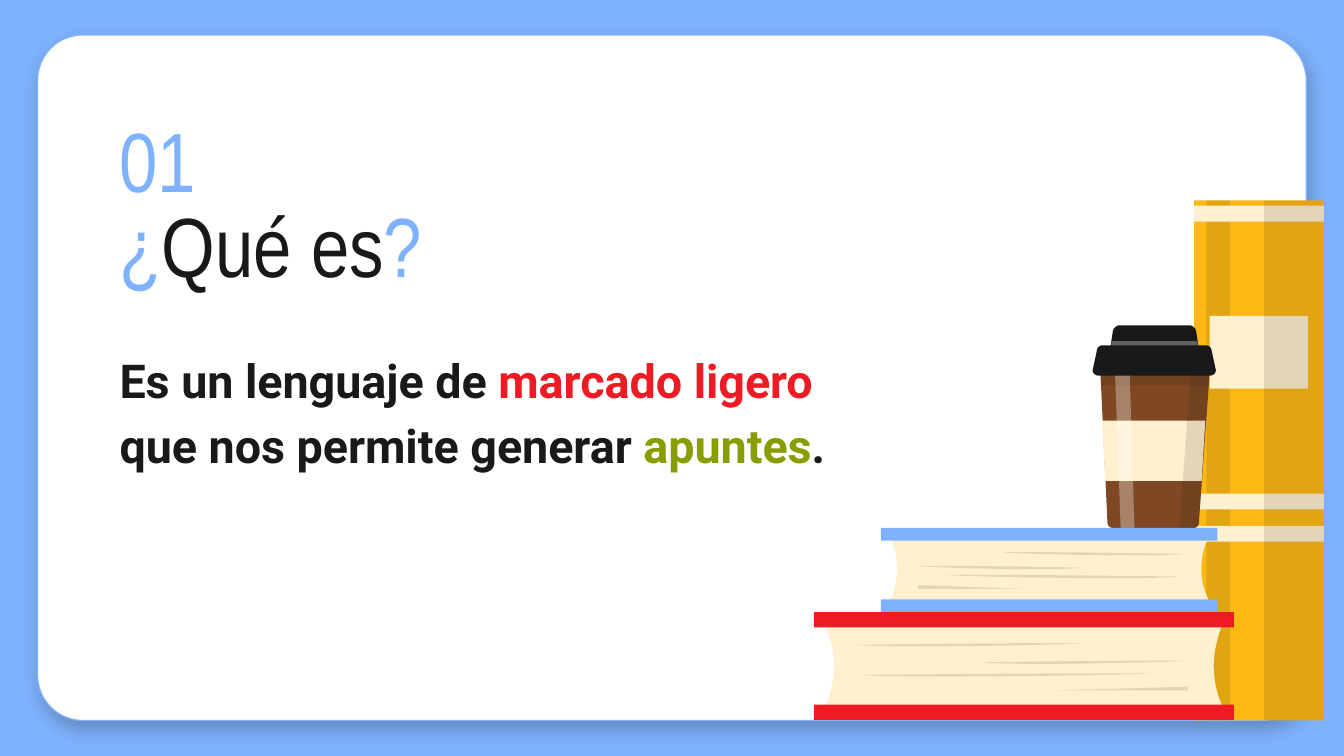
import pptx
import pptx.util
import pptx.dml.color
import pptx.enum.shapes
import pptx.enum.text
import pptx.oxml
import pptx.oxml.ns
from pptx.util import Cm

BLUE, INK, WHITE = "7EB2FE", "191919", "FFFFFF"
CREAM, YELLOW, BROWN = "FFF0CF", "FDB813", "7F4822"
RED, GREEN = "ED1B24", "899C00"
SHADE, SHINE = 12, 32  # opacity in percent


def rgb(value):
    return pptx.dml.color.RGBColor.from_string(value)


def paint(shape, color, alpha=None):
    shape.shadow.inherit = False
    shape.fill.solid()
    shape.fill.fore_color.rgb = rgb(color)
    shape.line.fill.background()
    if alpha is not None:
        clr = shape.fill._xPr.find(".//" + pptx.oxml.ns.qn("a:srgbClr"))
        clr.append(pptx.oxml.parse_xml(
            f'<a:alpha {pptx.oxml.ns.nsdecls("a")} val="{alpha * 1000}"/>'))


def rect(shapes, x, y, w, h, color, alpha=None):
    sp = shapes.add_shape(pptx.enum.shapes.MSO_SHAPE.RECTANGLE,
                          Cm(x), Cm(y), Cm(w), Cm(h))
    paint(sp, color, alpha)


def outline(shapes, x, y, nodes, color, alpha=None):
    """Closed outline; a node is a point or a cubic curve of three points."""
    pts = []
    for node in nodes:
        if len(node) == 2:
            pts.append(node)
            continue
        x0, y0 = pts[-1]
        x1, y1, x2, y2, x3, y3 = node
        for i in range(1, 13):
            t = i / 12
            a, b, c, d = (1 - t)**3, 3 * t * (1 - t)**2, 3 * t * t * (1 - t), t**3
            pts.append((a * x0 + b * x1 + c * x2 + d * x3,
                        a * y0 + b * y1 + c * y2 + d * y3))
    pts = [(Cm(x + px), Cm(y + py)) for px, py in pts]
    fb = shapes.build_freeform(*pts[0], scale=1.0)
    fb.add_line_segments(pts[1:], close=True)
    paint(fb.convert_to_shape(), color, alpha)


def write(sp, box, runs, size, font, anchor, bold=False):
    sp.left, sp.top, sp.width, sp.height = [Cm(v) for v in box]
    tf = sp.text_frame
    tf.word_wrap = True
    tf.auto_size = pptx.enum.text.MSO_AUTO_SIZE.NONE
    tf.vertical_anchor = anchor
    tf.margin_left = tf.margin_right = tf.margin_top = tf.margin_bottom = Cm(0.25)
    p = tf.paragraphs[0]
    p.alignment = pptx.enum.text.PP_ALIGN.LEFT
    p.line_spacing = 1.15
    for text, color in runs:
        r = p.add_run()
        r.text = text
        r.font.size, r.font.name, r.font.bold = pptx.util.Pt(size), font, bold
        r.font.color.rgb = rgb(color)


def add_panel(s, x, y, w, h):
    sp = s.shapes.add_shape(pptx.enum.shapes.MSO_SHAPE.ROUNDED_RECTANGLE,
                            Cm(x), Cm(y), Cm(w), Cm(h))
    sp.adjustments[0] = 0.066
    paint(sp, WHITE)
    sp.line.color.rgb = rgb(BLUE)
    sp.line.width = pptx.util.Pt(0.75)
    effects = sp._element.spPr.find(pptx.oxml.ns.qn("a:effectLst"))
    effects.append(pptx.oxml.parse_xml(
        f'<a:outerShdw {pptx.oxml.ns.nsdecls("a")} blurRad="128270" dist="57150" '
        f'dir="4020000" algn="bl" rotWithShape="0"><a:srgbClr val="{INK}">'
        '<a:alpha val="27000"/></a:srgbClr></a:outerShdw>'))
    # The panel lies behind the title
    s.shapes.title._element.addprevious(sp._element)


def add_texts(s, x, y, w):
    anchor = pptx.enum.text.MSO_ANCHOR
    write(s.shapes.title, (x, y + 1.75, w, 2.54),
          [("¿", BLUE), ("Qué es", INK), ("?", BLUE)], 45, "Arial Narrow", anchor.BOTTOM)
    write(s.shapes.add_textbox(0, 0, 0, 0), (x, y + 4.73, 14.48, 3.3),
          [("Es un lenguaje de ", INK), ("marcado ligero", RED),
           (" que nos permite generar ", INK), ("apuntes", GREEN), (".", INK)],
          25, "Roboto", anchor.TOP, bold=True)
    write(s.shapes.add_textbox(0, 0, 0, 0), (x, y, 2.11, 2.69),
          [("01", BLUE)], 45, "Arial Narrow", anchor.MIDDLE)


def add_upright_book(s, x, y, w, h):
    g = s.shapes.add_group_shape().shapes
    rect(g, x, y, w, h, YELLOW)
    rect(g, x + 0.23, y, 0.45, h, INK, SHADE)
    for dy in (0.1, 5.54, 6.15):  # spine bands
        rect(g, x, y + dy, w, 0.3, CREAM)
    rect(g, x + 0.29, y + 2.18, 1.86, 1.38, CREAM)
    rect(g, x + 1.32, y, w - 1.32, h, INK, SHADE)


def add_cup(s, x, y, w, h):
    g = s.shapes.add_group_shape().shapes
    top = 0.51
    right = [(1.91, h), (1.96, h, 2.01, h - 0.04, 2.01, h - 0.11), (2.24, top)]

    def lid(x1, y1, x2, y2, slant, r):
        outline(g, x, y, [
            (x1 + slant + r, y1),
            (x1 + slant + r / 2, y1, x1 + slant, y1 + r / 2, x1 + slant, y1 + r),
            (x1, y2 - r), (x1, y2 - r / 2, x1 + r / 2, y2, x1 + r, y2),
            (x2 - r, y2), (x2 - r / 2, y2, x2, y2 - r / 2, x2, y2 - r),
            (x2 - slant, y1 + r),
            (x2 - slant, y1 + r / 2, x2 - slant - r / 2, y1, x2 - slant - r, y1),
        ], INK)

    # Body, sleeve, shading and highlight
    outline(g, x, y, [(0.13, top), (0.28, h - 0.11),
                      (0.28, h - 0.04, 0.33, h, 0.38, h)] + right, BROWN)
    outline(g, x, y, [(0.18, 1.8), (0.24, 2.94), (2.06, 2.94), (2.13, 1.8)], CREAM)
    outline(g, x, y, [(0.13, top), (0.16, 1.14), (2.18, 1.14), (2.24, top)], INK, SHADE)
    outline(g, x, y, [(1.88, top), (1.65, h - 0.11),
                      (1.65, h - 0.04, 1.62, h, 1.55, h)] + right, INK, SHADE)
    outline(g, x, y, [(0.58, top), (0.41, top), (0.53, h), (0.79, h), (0.69, top)],
            WHITE, SHINE)
    # Lid
    lid(0.33, 0, 2.01, 0.58, 0.05, 0.13)
    outline(g, x, y, [(0.36, 0.3), (0.33, 0.58), (2.01, 0.58), (1.98, 0.3)], WHITE, SHINE)
    lid(0, 0.38, w, 0.95, 0.08, 0.1)


def add_lying_book(s, x, y, w, h, cover, color, streaks, wedge):
    g = s.shapes.add_group_shape().shapes
    # Pages with hollow ends
    a, b, c = 0.026 * w, 0.048 * w, 0.02 * w
    y1, ym, y2 = cover * 0.7, h * 0.49, h - cover * 0.6
    outline(g, x, y, [
        (c, y2), (b - 0.05, y2 - 0.25, b, ym + 0.25, b, ym),
        (b, ym - 0.38, a, y1, a, y1), (w - a, y1),
        (w - a, y1, w - b, ym - 0.38, w - b, ym),
        (w - b, ym + 0.25, w - b + 0.05, y2 - 0.25, w - c, y2)], CREAM)
    for dy in (h - cover, 0):
        rect(g, x, y + dy, w, cover, color)
    # Page lines, each from its blunt end to its tip
    x1, x2, dy = wedge
    outline(g, x, y, [(x1, dy), (x1, dy - 0.07), (x2, dy)], INK, SHADE)
    for x1, x2, dy in streaks:
        d = x2 - x1
        outline(g, x, y, [
            (x1, dy), (x1 + 0.34 * d, dy - 0.01, x2, dy + 0.03, x2, dy + 0.03),
            (x2 - 0.12 * d, dy + 0.1, x1 + 0.03 * d, dy + 0.03, x1, dy)], INK, SHADE)


def main():
    prs = pptx.Presentation()
    prs.slide_width, prs.slide_height = Cm(25.4), Cm(14.29)
    s = prs.slides.add_slide(prs.slide_layouts[5])
    s.background.fill.solid()
    s.background.fill.fore_color.rgb = rgb(BLUE)

    add_panel(s, 0.71, 0.66, 23.98, 12.96)
    add_texts(s, 2.01, 1.52, 16.2)
    add_upright_book(s, 22.57, 3.79, 2.45, 9.83)
    add_cup(s, 20.65, 6.15, 2.33, 3.83)
    add_lying_book(s, 16.65, 9.98, 6.36, 1.59, 0.24, BLUE,
                   [(1.24, 5.64, 0.89), (2.31, 5.72, 0.46), (0.73, 3.76, 0.72)],
                   (0.7, 2.69, 1.15))
    add_lying_book(s, 15.38, 11.57, 7.94, 2.04, 0.29, RED,
                   [(6.36, 0.87, 1.16), (5.04, 0.79, 0.59), (7.02, 3.2, 0.92)],
                   (7.07, 4.56, 1.48))
    prs.save("out.pptx")


if __name__ == "__main__":
    main()
